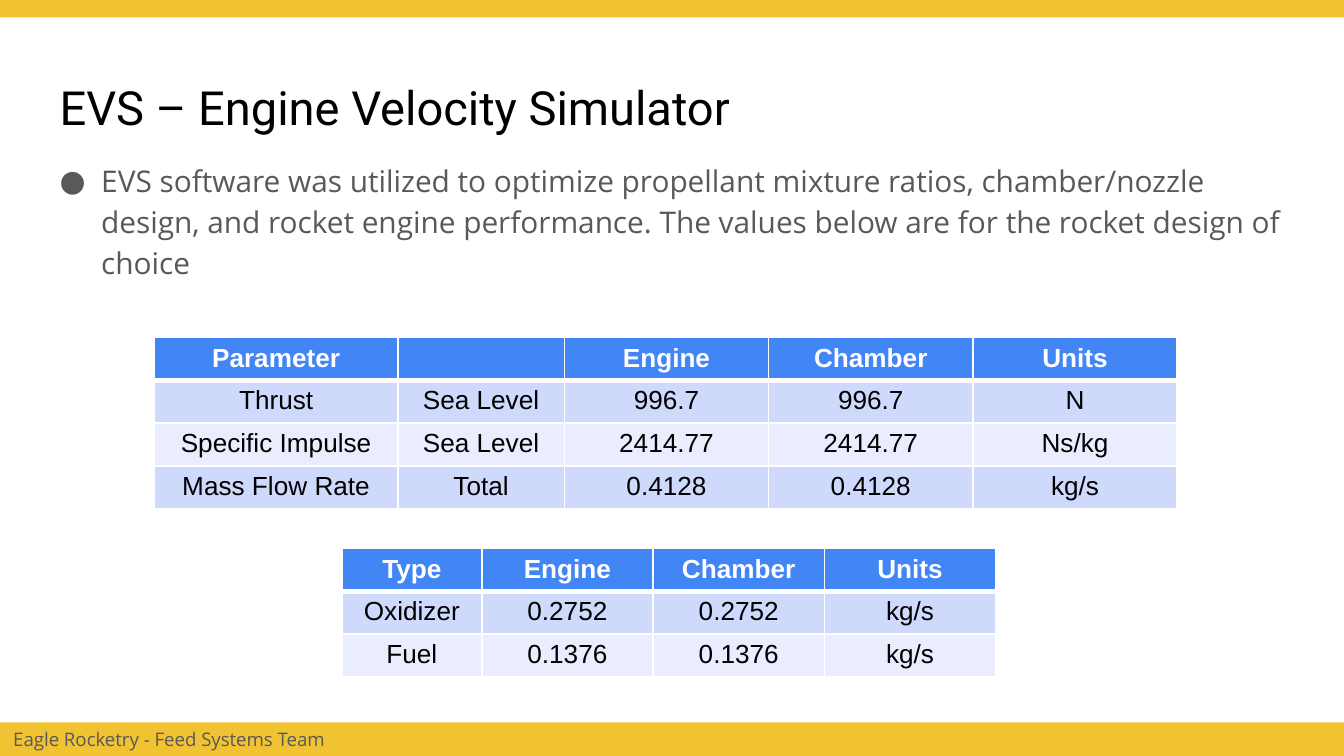
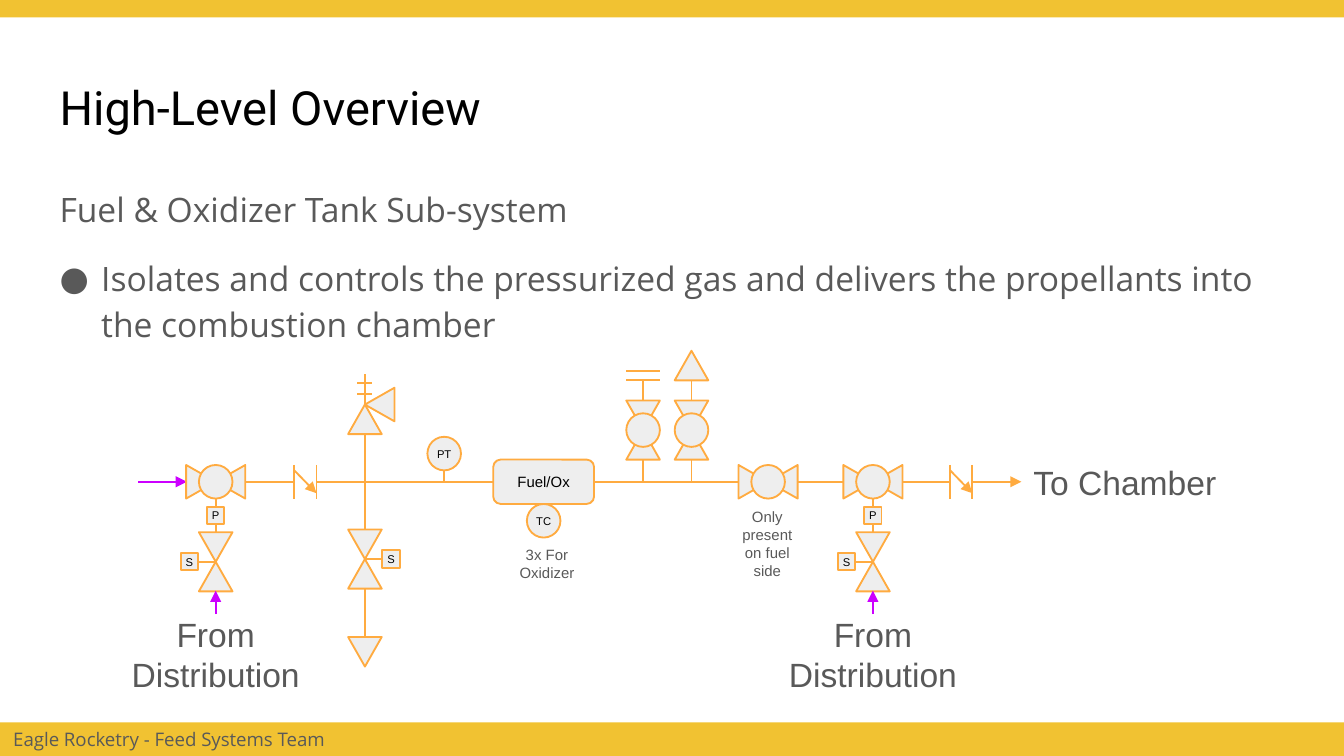
from typing import NamedTuple

from lxml import etree
from pptx import Presentation
from pptx import util as u
from pptx.dml.color import RGBColor
from pptx.enum import shapes, text
from pptx.oxml.ns import qn

# Shared look; 200 px make one inch
SCALE = 4572
WIDTH, HEIGHT = 2000, 1125
GOLD, GREY, BLACK, WHITE = "F1C232", "595959", "000000", "FFFFFF"
BLUE, BANDS = "4285F4", ("CFD9FB", "E9EDFD")
ORANGE, PALE, PURPLE = "FFAB40", "EEEEEE", "CC00FF"
BODY_FONT, TITLE_FONT, PLAIN_FONT = "Open Sans", "Roboto", "Arial"
INSET = 20
LEFT, CENTER = text.PP_ALIGN.LEFT, text.PP_ALIGN.CENTER
TOP, MIDDLE = text.MSO_ANCHOR.TOP, text.MSO_ANCHOR.MIDDLE
KIND = shapes.MSO_SHAPE

# Piping symbols
MAIN_Y = 717
BALL = 50
TRI_W, TRI_H = 50, 44
BOX = 26


class Grid(NamedTuple):
    left: int
    top: int
    cols: list[int]
    row_height: int
    rows: list[list[str]]


class Pipe(NamedTuple):
    x1: int
    y1: int
    x2: int
    y2: int
    color: str = ORANGE
    arrow: bool = False


class Label(NamedTuple):
    text: str
    box: tuple[int, int, int, int]
    size: int
    align: text.PP_ALIGN = CENTER
    anchor: text.MSO_ANCHOR = MIDDLE


def px(n: float) -> int:
    return u.Emu(round(n * SCALE))


def rgb(color: str) -> RGBColor:
    return RGBColor.from_string(color)


# Text
def add_text(p, content: str, *, size: float, font: str = PLAIN_FONT, color: str = GREY,
             bold: bool = False, align=LEFT, spacing: float = 0, before: int = 0,
             after: int = 0, bullet: bool = False) -> None:
    p.alignment = align
    if spacing:
        p.line_spacing = spacing
        p.space_before, p.space_after = u.Pt(before), u.Pt(after)
    if bullet:
        pPr = p._p.get_or_add_pPr()
        pPr.set("marL", str(px(62)))
        pPr.set("indent", str(px(-62)))
        clr = etree.SubElement(pPr, qn("a:buClr"))
        etree.SubElement(clr, qn("a:srgbClr"), val=color)
        etree.SubElement(pPr, qn("a:buFont"), typeface=font)
        etree.SubElement(pPr, qn("a:buChar"), char="●")
    if not content:
        etree.SubElement(p._p, qn("a:endParaRPr"), sz=str(round(size * 100)))
        return
    r = p.add_run()
    r.text = content
    r.font.size, r.font.name, r.font.bold = u.Pt(size), font, bold
    r.font.color.rgb = rgb(color)


def set_frame(tf, anchor=TOP, inset: int = INSET) -> None:
    tf.word_wrap = True
    tf.vertical_anchor = anchor
    tf.margin_left = tf.margin_right = tf.margin_top = tf.margin_bottom = px(inset)


def add_box(s, box: tuple[int, int, int, int], anchor=TOP):
    tf = s.shapes.add_textbox(*map(px, box)).text_frame
    set_frame(tf, anchor)
    return tf


# Shapes and lines
def add_shape(s, kind, box: tuple[float, float, float, float], fill: str, line: str = "",
              rot: int = 0):
    sp = s.shapes.add_shape(kind, *map(px, box))
    sp.shadow.inherit = False
    sp.rotation = rot
    sp.fill.solid()
    sp.fill.fore_color.rgb = rgb(fill)
    if line:
        sp.line.color.rgb = rgb(line)
        sp.line.width = u.Pt(1)
    else:
        sp.line.fill.background()
    return sp


def add_pipe(s, pipe: Pipe) -> None:
    c = s.shapes.add_connector(shapes.MSO_CONNECTOR.STRAIGHT, *map(px, pipe[:4]))
    c.line.color.rgb = rgb(pipe.color)
    c.line.width = u.Pt(1)
    if pipe.arrow:
        etree.SubElement(c.line._get_or_add_ln(), qn("a:tailEnd"), type="triangle")
    etree.SubElement(c._element.spPr, qn("a:effectLst"))


def add_symbol(s, kind, cx: int, cy: int, w: int, h: int, *, rot: int = 0,
               label: str = "", size: int = 6, inset: int = 0) -> None:
    sp = add_shape(s, kind, (cx - w / 2, cy - h / 2, w, h), PALE, ORANGE, rot)
    if label:
        set_frame(sp.text_frame, MIDDLE, inset)
        add_text(sp.text_frame.paragraphs[0], label, size=size, color=BLACK, align=CENTER)


def add_triangle(s, cx: int, cy: int, rot: int = 0) -> None:
    add_symbol(s, KIND.ISOSCELES_TRIANGLE, cx, cy, TRI_W, TRI_H, rot=rot)


def add_circle(s, cx: int, cy: int, label: str = "") -> None:
    add_symbol(s, KIND.OVAL, cx, cy, BALL, BALL, label=label)


def add_valve(s, cx: int, cy: int, vertical: bool = False, ball: bool = False) -> None:
    half = TRI_H // 2
    dx, dy, rot = (0, half, 180) if vertical else (half, 0, 90)
    add_triangle(s, cx - dx, cy - dy, rot)
    add_triangle(s, cx + dx, cy + dy, (rot + 180) % 360)
    if ball:
        add_circle(s, cx, cy)


def add_solenoid_valve(s, cx: int, cy: int, side: int) -> None:
    """Vertical valve with its solenoid on the left (-1) or right (1)."""
    add_valve(s, cx, cy, vertical=True)
    add_pipe(s, Pipe(cx, cy, cx + side * 26, cy))
    add_symbol(s, KIND.RECTANGLE, cx + side * 39, cy, BOX, BOX, label="S")


def add_piloted_valve(s, cx: int) -> None:
    """Ball valve on the main line, driven by gas from the distribution."""
    add_valve(s, cx, MAIN_Y, ball=True)
    add_pipe(s, Pipe(cx, 742, cx, 754))
    add_symbol(s, KIND.RECTANGLE, cx, 767, BOX, BOX, label="P")
    add_pipe(s, Pipe(cx, 780, cx, 792))
    add_solenoid_valve(s, cx, 836, side=-1)
    add_pipe(s, Pipe(cx, 914, cx, 879, PURPLE, True))
    add_label(s, Label("From Distribution", (cx - 161, 918, 322, 110), 18))


def add_check_valve(s, x: int) -> None:
    for bar in (x, x + 33):
        add_pipe(s, Pipe(bar, MAIN_Y - 25, bar, MAIN_Y + 25))
    add_pipe(s, Pipe(x, MAIN_Y - 17, x + 33, MAIN_Y + 17, arrow=True))


def add_label(s, label: Label) -> None:
    tf = add_box(s, label.box, label.anchor)
    add_text(tf.paragraphs[0], label.text, size=label.size, align=label.align)


# Tables
def set_borders(cell, widths: dict[str, int]) -> None:
    tcPr = cell._tc.get_or_add_tcPr()
    for side, width in widths.items():
        ln = etree.SubElement(tcPr, qn(f"a:ln{side}"), w=str(u.Pt(width)))
        fill = etree.SubElement(ln, qn("a:solidFill"))
        etree.SubElement(fill, qn("a:srgbClr"), val=WHITE)


def add_grid(s, grid: Grid) -> None:
    n = len(grid.rows)
    frame = s.shapes.add_table(n, len(grid.cols), px(grid.left), px(grid.top),
                               px(sum(grid.cols)), px(n * grid.row_height))
    table = frame.table
    table.horz_banding = False
    for col, width in zip(table.columns, grid.cols):
        col.width = px(width)
    for i, values in enumerate(grid.rows):
        head = i == 0
        for j, value in enumerate(values):
            cell = table.cell(i, j)
            cell.margin_top, cell.margin_bottom = px(9), px(8)
            set_borders(cell, {"L": 1, "R": 1, "T": 3 if i == 1 else 1, "B": 3 if head else 1})
            cell.fill.solid()
            cell.fill.fore_color.rgb = rgb(BLUE if head else BANDS[(i - 1) % 2])
            add_text(cell.text_frame.paragraphs[0], value, size=14, bold=head,
                     color=WHITE if head else BLACK, align=CENTER)


# Slides
def new_slide(prs, title: str):
    s = prs.slides.add_slide(prs.slide_layouts[6])
    footer = add_shape(s, KIND.RECTANGLE, (0, 1075, WIDTH, 50), GOLD)
    set_frame(footer.text_frame, MIDDLE)
    add_text(footer.text_frame.paragraphs[0], "Eagle Rocketry - Feed Systems Team",
             size=10, font=BODY_FONT)
    add_shape(s, KIND.RECTANGLE, (0, 0, WIDTH, 26), GOLD)
    tf = add_box(s, (69, 97, 1864, 126))
    add_text(tf.paragraphs[0], title, size=25.2, font=TITLE_FONT, color=BLACK)
    return s


def build_performance(prs) -> None:
    s = new_slide(prs, "EVS – Engine Velocity Simulator")
    tf = add_box(s, (69, 214, 1864, 858))
    add_text(tf.paragraphs[0],
             "EVS software was utilized to optimize propellant mixture ratios, chamber/nozzle "
             "design, and rocket engine performance. The values below are for the rocket design "
             "of choice",
             size=16, font=BODY_FONT, spacing=1.15, before=12, after=12, bullet=True)
    add_grid(s, Grid(230, 502, [362, 248, 304, 304, 304], 50, [
        ["Parameter", "", "Engine", "Chamber", "Units"],
        ["Thrust", "Sea Level", "996.7", "996.7", "N"],
        ["Specific Impulse", "Sea Level", "2414.77", "2414.77", "Ns/kg"],
        ["Mass Flow Rate", "Total", "0.4128", "0.4128", "kg/s"],
    ]))
    add_grid(s, Grid(509, 816, [208, 255, 255, 255], 38, [
        ["Type", "Engine", "Chamber", "Units"],
        ["Oxidizer", "0.2752", "0.2752", "kg/s"],
        ["Fuel", "0.1376", "0.1376", "kg/s"],
    ]))


def build_overview(prs) -> None:
    s = new_slide(prs, "High-Level Overview")
    tf = add_box(s, (69, 252, 1864, 748))
    style = dict(size=18, font=BODY_FONT, spacing=1.15, after=12)
    add_text(tf.paragraphs[0], "Fuel & Oxidizer Tank Sub-system", **style)
    add_text(tf.add_paragraph(), "Isolates and controls the pressurized gas and delivers the "
             "propellants into the combustion chamber", bullet=True, **style)

    # Main line, from gas inlet to chamber
    add_pipe(s, Pipe(206, MAIN_Y, 278, MAIN_Y, PURPLE, True))
    for x1, x2 in ((365, 438), (471, 734), (884, 1099), (1187, 1255), (1343, 1414)):
        add_pipe(s, Pipe(x1, MAIN_Y, x2, MAIN_Y))
    add_pipe(s, Pipe(1447, MAIN_Y, 1520, MAIN_Y, arrow=True))
    for x in (321, 1299):
        add_piloted_valve(s, x)
    for x in (438, 1414):
        add_check_valve(s, x)
    add_valve(s, 1143, MAIN_Y, ball=True)

    # Relief valve above the line, drain below it
    vent = 543
    for y1, y2 in ((646, 788), (876, 948)):
        add_pipe(s, Pipe(vent, y1, vent, y2))
    add_triangle(s, vent, 624)
    add_triangle(s, vent + TRI_H // 2, 602, 270)
    add_pipe(s, Pipe(vent, 602, vent, 556))
    for y in (570, 586):
        add_pipe(s, Pipe(vent - 11, y, vent + 11, y))
    add_solenoid_valve(s, vent, 832, side=1)
    add_triangle(s, vent, 970, 180)

    # Tank and sensors
    tank = 809
    add_pipe(s, Pipe(661, 700, 661, MAIN_Y))
    add_circle(s, 661, 675, "PT")
    add_symbol(s, KIND.ROUNDED_RECTANGLE, tank, MAIN_Y, 150, 66, label="Fuel/Ox", size=8,
               inset=INSET)
    add_circle(s, tank, 775, "TC")

    # Fill port and vent after the tank
    fill, outlet = 957, 1029
    for x in (fill, outlet):
        add_pipe(s, Pipe(x, 684, x, MAIN_Y))
        add_valve(s, x, 640, vertical=True, ball=True)
        add_pipe(s, Pipe(x, 566, x, 596))
    for y in (552, 566):
        add_pipe(s, Pipe(fill - 25, y, fill + 25, y))
    add_triangle(s, outlet, 544)

    # Captions
    for label in (
        Label("To Chamber", (1518, 662, 322, 110), 18, LEFT),
        Label("Only present on fuel side", (1082, 736, 120, 148), 8, anchor=TOP),
        Label("3x For Oxidizer", (746, 792, 136, 94), 8, anchor=TOP),
    ):
        add_label(s, label)


def main() -> None:
    prs = Presentation()
    prs.slide_width, prs.slide_height = px(WIDTH), px(HEIGHT)
    build_performance(prs)
    build_overview(prs)
    prs.save("out.pptx")


if __name__ == "__main__":
    main()
